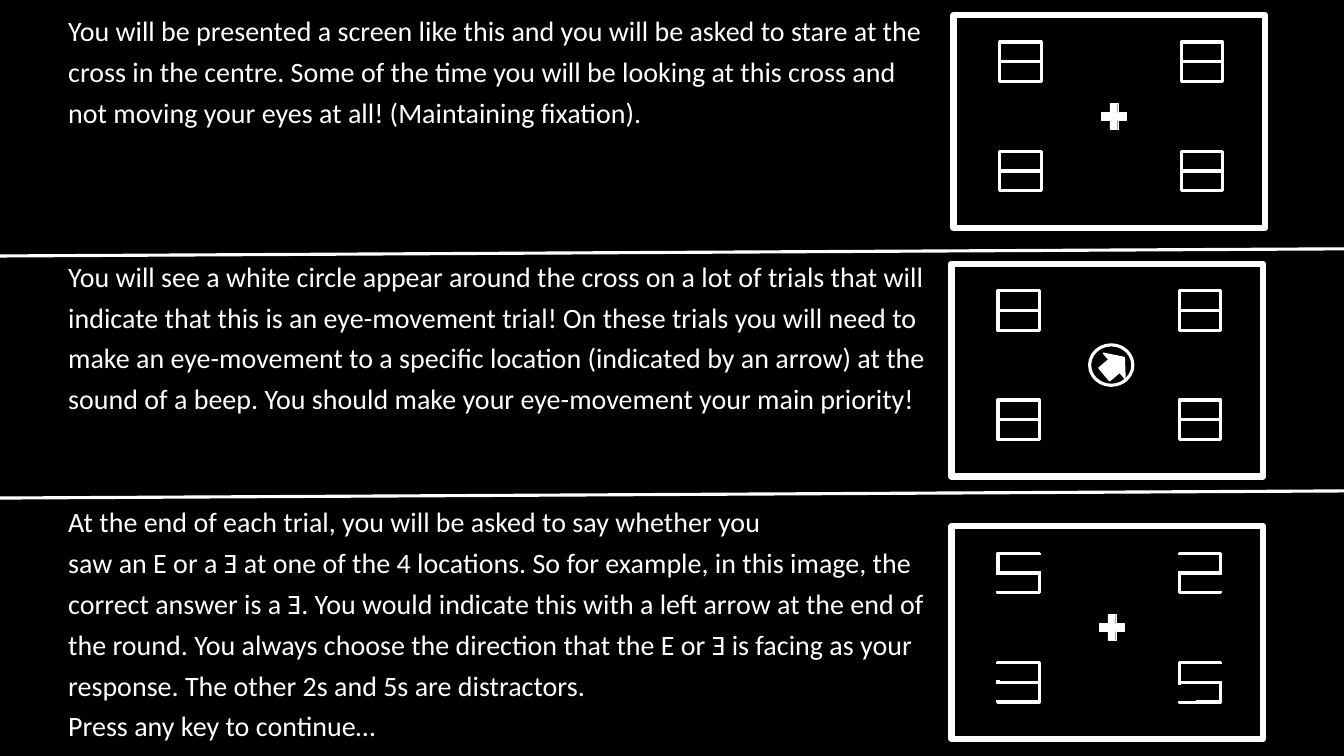
from dataclasses import dataclass
from itertools import product

from lxml import etree
from pptx import Presentation
from pptx.dml.color import RGBColor
from pptx.enum.shapes import MSO_CONNECTOR, MSO_SHAPE
from pptx.oxml.ns import qn
from pptx.util import Cm, Pt

RECTANGLE = MSO_SHAPE.RECTANGLE
OVAL = MSO_SHAPE.OVAL
PLUS = MSO_SHAPE.MATH_PLUS
DOWN_ARROW = MSO_SHAPE.DOWN_ARROW
STRAIGHT = MSO_CONNECTOR.STRAIGHT


@dataclass(frozen=True)
class Theme:
    background: RGBColor = RGBColor(0, 0, 0)
    foreground: RGBColor = RGBColor(255, 255, 255)
    font: str = "Calibri"
    text_size: float = 20
    frame_line: float = 4.5
    thin_line: float = 2.25
    solid_line: float = 1
    cross_line: float = 0.25


class InstructionPage:
    def __init__(self, page, theme):
        self.page = page
        self.theme = theme
        page.background.fill.solid()
        page.background.fill.fore_color.rgb = theme.background

    def text(self, left, top, width, height, lines):
        box = self.page.shapes.add_textbox(Cm(left), Cm(top), Cm(width), Cm(height))
        frame = box.text_frame
        frame.word_wrap = True
        for index, line in enumerate(lines):
            para = frame.add_paragraph() if index else frame.paragraphs[0]
            para.text = line
            para.line_spacing = 0.8
            para.space_before = Pt(10 if index else 0)
            para.font.name = self.theme.font
            para.font.size = Pt(self.theme.text_size)
            para.font.color.rgb = self.theme.foreground

    def shape(self, kind, left, top, width, height, line, fill=None, outline=None, parent=None):
        shapes = (parent or self.page).shapes
        shape = shapes.add_shape(kind, Cm(left), Cm(top), Cm(width), Cm(height))
        shape.shadow.inherit = False
        if fill is None:
            shape.fill.background()
        else:
            shape.fill.solid()
            shape.fill.fore_color.rgb = fill
        shape.line.color.rgb = outline or self.theme.foreground
        shape.line.width = Pt(line)
        return shape

    def divider(self, start, end, width):
        line = self.page.shapes.add_connector(STRAIGHT, 0, Cm(start), Cm(width), Cm(end))
        line.line.color.rgb = self.theme.foreground
        line.line.width = Pt(self.theme.thin_line)
        etree.SubElement(line._element.spPr, qn("a:effectLst"))

    def screen(self, left, top, has_cross):
        theme = self.theme
        group = self.page.shapes.add_group_shape()
        for column, row, half in product((1.17, 5.74), (0.68, 3.43), (0, 0.5)):
            self.shape(RECTANGLE, left + column, top + row + half, 1.04, 0.5,
                       theme.thin_line, parent=group)
        self.shape(RECTANGLE, left, top, 7.85, 5.36, theme.frame_line, parent=group)
        if has_cross:
            self.shape(PLUS, left + 3.62, top + 2.11, 0.84, 0.89, theme.cross_line,
                       theme.foreground, parent=group)

    def movement_cue(self):
        theme = self.theme
        self.shape(OVAL, 27.46, 8.69, 1.09, 1.02, theme.thin_line)
        arrow = self.shape(DOWN_ARROW, 27.66, 8.89, 0.84, 0.66,
                           theme.solid_line, theme.foreground)
        arrow.rotation = 229.7

    def mask(self, left, top):
        theme = self.theme
        self.shape(RECTANGLE, left, top, 0.97, 0.38, theme.solid_line,
                   theme.background, theme.background)


INSTRUCTIONS = [
    (0.38, [
        "You will be presented a screen like this and you will be asked to stare at the",
        "cross in the centre. Some of the time you will be looking at this cross and",
        "not moving your eyes at all! (Maintaining fixation).",
    ]),
    (6.57, [
        "You will see a white circle appear around the cross on a lot of trials that will",
        "indicate that this is an eye-movement trial! On these trials you will need to",
        "make an eye-movement to a specific location (indicated by an arrow) at the",
        "sound of a beep. You should make your eye-movement your main priority!",
    ]),
    (12.75, [
        "At the end of each trial, you will be asked to say whether you",
        "saw an E or a Ǝ at one of the 4 locations. So for example, in this image, the",
        "correct answer is a Ǝ. You would indicate this with a left arrow at the end of",
        "the round. You always choose the direction that the E or Ǝ is facing as your",
        "response. The other 2s and 5s are distractors.",
        "Press any key to continue…",
    ]),
]
SCREENS = [(24.03, 0.38, True), (23.98, 6.65, False), (23.98, 13.26, True)]
DIVIDERS = [(6.45, 6.27), (12.55, 12.37)]
MASKS = [
    (29.34, 14), (30.28, 14.5), (25.98, 14), (24.77, 14.5),
    (30.2, 16.76), (29.16, 17.27), (24.61, 16.74), (24.59, 17.25),
]


def main():
    deck = Presentation()
    deck.slide_width = Cm(33.87)
    deck.slide_height = Cm(19.05)
    page = InstructionPage(deck.slides.add_slide(deck.slide_layouts[6]), Theme())
    for top, lines in INSTRUCTIONS:
        page.text(1.47, top, 22.4, 0.25 + 1.03 * len(lines), lines)
    for left, top, has_cross in SCREENS:
        page.screen(left, top, has_cross)
    for start, end in DIVIDERS:
        page.divider(start, end, 33.87)
    page.movement_cue()
    for left, top in MASKS:
        page.mask(left, top)
    deck.save("out.pptx")


if __name__ == "__main__":
    main()
